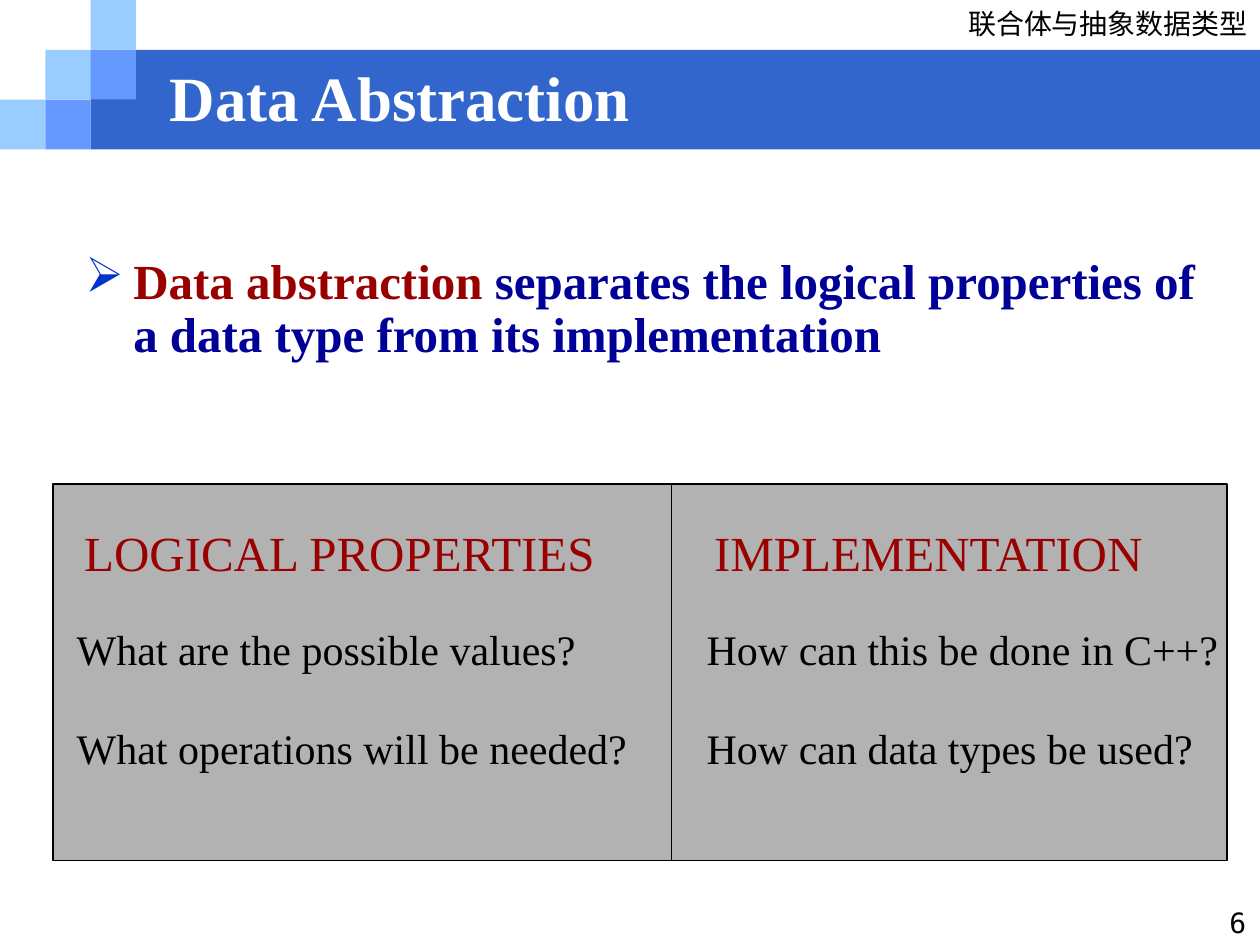
from lxml.etree import SubElement
from pptx import Presentation
from pptx.dml.color import RGBColor
from pptx.enum.shapes import MSO_CONNECTOR, MSO_SHAPE
from pptx.enum.text import MSO_ANCHOR, PP_ALIGN
from pptx.oxml.ns import qn
from pptx.util import Inches, Pt

BLACK = RGBColor(0x00, 0x00, 0x00)
WHITE = RGBColor(0xFF, 0xFF, 0xFF)
BAND = RGBColor(0x33, 0x66, 0xCC)
LIGHT = RGBColor(0x99, 0xCC, 0xFF)
MID = RGBColor(0x66, 0x99, 0xFF)
GRAY = RGBColor(0xB2, 0xB2, 0xB2)
RED = RGBColor(0x99, 0x00, 0x00)
NAVY = RGBColor(0x00, 0x00, 0x99)
SERIF, MONO, CJK = "Times New Roman", "DejaVu Sans Mono", "Noto Sans CJK SC"

COURSE = "联合体与抽象数据类型"
PAGE = "6"
TITLE = "Data Abstraction"
DEFINITION = [
    ("Data abstraction", RED),
    (" separates the logical properties of a data type from its implementation", NAVY),
]
HEADINGS = [("LOGICAL PROPERTIES", "IMPLEMENTATION")]
QUESTIONS = [
    ("What are the possible values?", "How can this be done in C++?"),
    ("What operations will be needed?", "How can data types be used?"),
]

WIDTH, HEIGHT = 10, 7.5
CELL_W, CELL_H = 0.36, 0.79 / 2
SQUARES = [(0, 2, LIGHT), (1, 1, LIGHT), (2, 0, LIGHT), (2, 1, MID), (1, 2, MID)]
PANEL = (0.42, 3.84, 9.32, 2.99)
DIVIDER_X = 5.33
COLUMN_GAP = 5
ROW_SPACE = 27.6


def add_rect(s, box, fill, line=None):
    sp = s.shapes.add_shape(MSO_SHAPE.RECTANGLE, *map(Inches, box))
    sp.shadow.inherit = False
    sp.fill.solid()
    sp.fill.fore_color.rgb = fill
    if line is None:
        sp.line.fill.background()
    else:
        sp.line.color.rgb = line
        sp.line.width = Pt(1)


def add_frame(s, box, anchor=MSO_ANCHOR.TOP):
    tf = s.shapes.add_textbox(*map(Inches, box)).text_frame
    tf.word_wrap = True
    tf.vertical_anchor = anchor
    return tf


def add_run(p, text, size, color, font=SERIF, bold=False):
    r = p.add_run()
    r.text = text
    r.font.size = Pt(size)
    r.font.name = font
    r.font.bold = bold
    r.font.color.rgb = color
    SubElement(r.font._element, qn("a:ea"), typeface=font)


def add_columns(s, box, rows, size, color):
    tf = add_frame(s, box)
    for i, row in enumerate(rows):
        p = tf.add_paragraph() if i else tf.paragraphs[0]
        if i:
            p.space_before = Pt(ROW_SPACE)
        tabs = SubElement(p._p.get_or_add_pPr(), qn("a:tabLst"))
        SubElement(tabs, qn("a:tab"), pos=str(Inches(COLUMN_GAP)), algn="l")
        add_run(p, "\t".join(row), size, color)


def add_definition(s):
    tf = add_frame(s, (0.58, 1.62, 9.07, 1.69))
    tf.margin_top = Inches(0.42)
    p = tf.paragraphs[0]
    p.line_spacing = 0.9
    pPr = p._p.get_or_add_pPr()
    pPr.set("marL", str(Inches(0.38)))
    pPr.set("indent", str(-Inches(0.38)))
    SubElement(SubElement(pPr, qn("a:buClr")), qn("a:srgbClr"), val="0033CC")
    SubElement(pPr, qn("a:buChar"), char="➢")
    for text, color in DEFINITION:
        add_run(p, text, 28, color, bold=True)


def add_divider(s):
    top, bottom = PANEL[1], PANEL[1] + PANEL[3]
    ends = map(Inches, (DIVIDER_X, top, DIVIDER_X, bottom))
    line = s.shapes.add_connector(MSO_CONNECTOR.STRAIGHT, *ends)
    line.line.color.rgb = BLACK
    line.line.width = Pt(1)
    SubElement(line._element.spPr, qn("a:effectLst"))


def main():
    prs = Presentation()
    prs.slide_width, prs.slide_height = Inches(WIDTH), Inches(HEIGHT)
    s = prs.slides.add_slide(prs.slide_layouts[6])

    band_x = 2 * CELL_W
    add_rect(s, (band_x, CELL_H, WIDTH - band_x, 2 * CELL_H), BAND)
    for col, row, color in SQUARES:
        add_rect(s, (col * CELL_W, row * CELL_H, CELL_W, CELL_H), color)

    for box, text, font in [
        ((7.4, 0, 2.6, 0.37), COURSE, CJK),
        ((9.43, 7.14, 0.56, 0.35), PAGE, MONO),
    ]:
        p = add_frame(s, box).paragraphs[0]
        p.alignment = PP_ALIGN.RIGHT
        add_run(p, text, 16, BLACK, font)

    add_definition(s)
    add_rect(s, PANEL, GRAY, BLACK)
    add_columns(s, (0.57, 4.1, 8.7, 0.57), HEADINGS, 28, RED)
    add_divider(s)
    add_columns(s, (0.51, 4.9, 9.35, 1.31), QUESTIONS, 24, BLACK)

    tf = add_frame(s, (1.25, 0.5, 8.08, 0.53), MSO_ANCHOR.MIDDLE)
    add_run(tf.paragraphs[0], TITLE, 36, WHITE, bold=True)

    prs.save("out.pptx")


if __name__ == "__main__":
    main()
